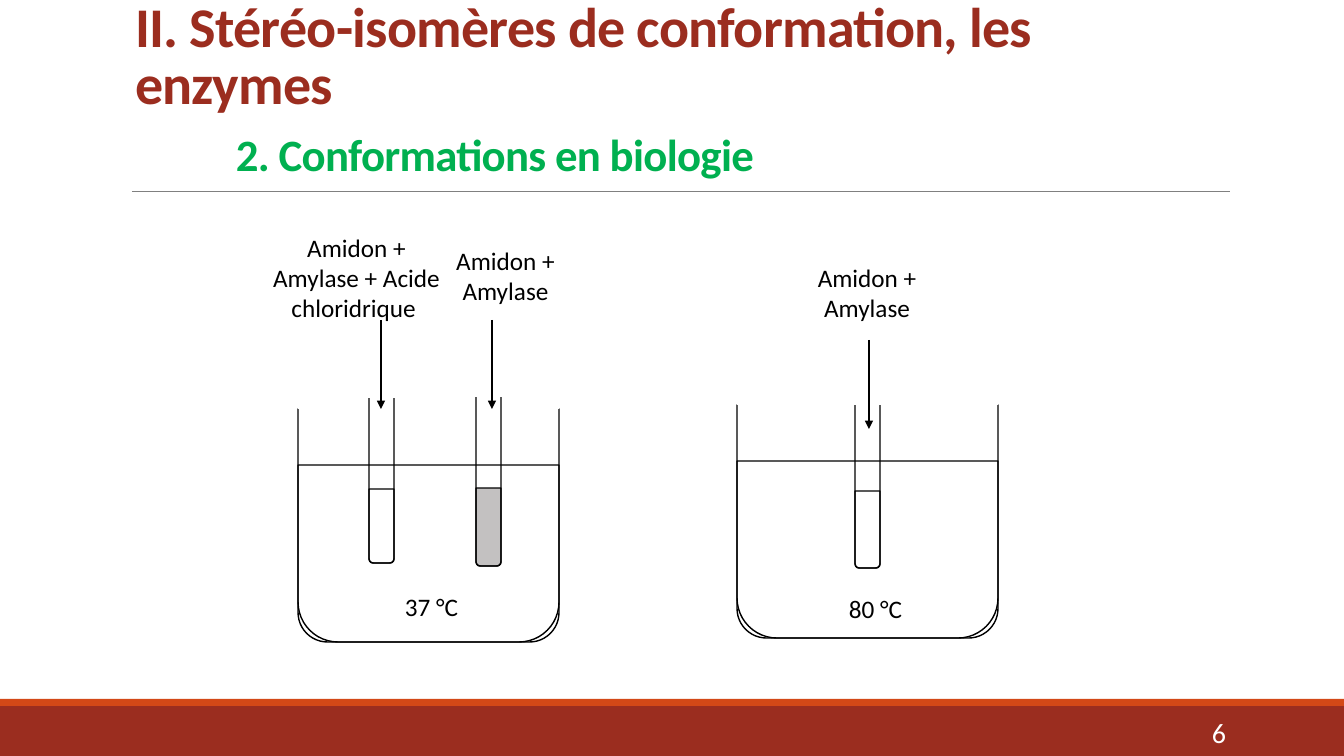
"""Build the slide on conformations in biology: enzyme tubes in two water baths."""
from dataclasses import dataclass

from lxml import etree
from pptx import Presentation
from pptx.dml.color import RGBColor
from pptx.enum.shapes import MSO_CONNECTOR, MSO_SHAPE
from pptx.enum.text import MSO_ANCHOR, MSO_AUTO_SIZE, PP_ALIGN
from pptx.oxml.ns import qn
from pptx.util import Emu, Pt

RECTANGLE = MSO_SHAPE.RECTANGLE
ROUND_TOP = MSO_SHAPE.ROUND_2_SAME_RECTANGLE
STRAIGHT = MSO_CONNECTOR.STRAIGHT
TOP, MIDDLE, BOTTOM = MSO_ANCHOR.TOP, MSO_ANCHOR.MIDDLE, MSO_ANCHOR.BOTTOM
LEFT, CENTER, RIGHT = PP_ALIGN.LEFT, PP_ALIGN.CENTER, PP_ALIGN.RIGHT
NO_AUTOFIT = MSO_AUTO_SIZE.NONE

PX_PER_INCH = 100.8
FONT = "Calibri"
BLACK, WHITE, GREY = "000000", "FFFFFF", "808080"
BRICK, ORANGE, GREEN = "9B2D1F", "D34817", "00B050"
PRECIPITATE = "C3C1C1"
TITLE_ONLY = 5


@dataclass(frozen=True)
class Vessel:
    """An open vessel: outline, liquid level and the margin of its rim mask."""

    left: int
    top: int
    width: int
    height: int
    liquid_top: int
    rim_rise: int
    rim_margin: int = 0
    liquid: str | None = None


@dataclass(frozen=True)
class Label:
    """A block of text and its frame."""

    text: str
    left: int
    top: int
    width: int
    height: int
    align: PP_ALIGN = CENTER
    size: int = 18
    colour: str = BLACK
    anchor: MSO_ANCHOR = TOP


@dataclass(frozen=True)
class Arrow:
    """The start of a downward arrow."""

    x: int
    top: int


BATH_37 = Vessel(298, 402, 261, 240, 465, 7)
BATH_80 = Vessel(737, 398, 261, 240, 461, 7)
TUBES = [
    Vessel(476, 388, 25, 178, 488, 5, 13, PRECIPITATE),
    Vessel(855, 388, 25, 180, 491, 6, 13),
    Vessel(369, 389, 25, 174, 489, 5, 13),
]
VESSELS = [BATH_37, *TUBES, BATH_80]
RIM_HEIGHT = 13
ARROWS = [Arrow(381, 320), Arrow(492, 320), Arrow(869, 340)]
ARROW_LENGTH = 89
LABELS = [
    Label("Amidon + Amylase + Acide chloridrique ", 254, 227, 205, 102),
    Label("Amidon + Amylase", 403, 240, 205, 72),
    Label("37 °C", 395, 586, 83, 40, LEFT),
    Label("80 °C", 839, 588, 84, 40, LEFT),
    Label("Amidon + Amylase", 799, 257, 136, 72),
    Label("6", 1092, 712, 144, 40, RIGHT, 20, WHITE, MIDDLE),
]


def px(length: int) -> Emu:
    """Turn pixels into EMU."""
    return Emu(round(length * 914400 / PX_PER_INCH))


def rgb(colour: str) -> RGBColor:
    """Turn a hex string into a colour."""
    return RGBColor.from_string(colour)


def add_span(para, text: str, *, size: int, colour: str, bold: bool = False,
             spacing: int = 0) -> None:
    """Add formatted text, with letter spacing in hundredths of a point."""
    span = para.add_run()
    span.text = text
    span.font.name = FONT
    span.font.size = Pt(size)
    span.font.bold = bold
    span.font.color.rgb = rgb(colour)
    if spacing:
        span.font._element.set("spc", str(spacing))


def add_box(shapes, kind: MSO_SHAPE, left: int, top: int, width: int, height: int,
            *, fill: str | None = None, line: str | None = None, turn: int = 0) -> None:
    """Add a preset shape with optional fill and outline."""
    box = shapes.add_shape(kind, px(left), px(top), px(width), px(height))
    box.shadow.inherit = False
    box.rotation = turn
    if fill:
        box.fill.solid()
        box.fill.fore_color.rgb = rgb(fill)
    else:
        box.fill.background()
    if line:
        box.line.color.rgb = rgb(line)
        box.line.width = Pt(1)
    else:
        box.line.fill.background()


def add_line(page, start: tuple[int, int], end: tuple[int, int], *, colour: str,
             width: float, arrow: bool = False) -> None:
    """Add a straight line, with an arrowhead at its end if asked."""
    line = page.shapes.add_connector(STRAIGHT, *map(px, start), *map(px, end))
    line.line.color.rgb = rgb(colour)
    line.line.width = Pt(width)
    if arrow:
        etree.SubElement(line.line._get_or_add_ln(), qn("a:tailEnd"), type="triangle")
    etree.SubElement(line._element.spPr, qn("a:effectLst"))


def add_vessel(page, vessel: Vessel) -> None:
    """Group a vessel's liquid, its outline and the mask that opens its rim."""
    shapes = page.shapes.add_group_shape().shapes
    bottom = vessel.top + vessel.height
    add_box(shapes, ROUND_TOP, vessel.left, vessel.liquid_top, vessel.width,
            bottom - vessel.liquid_top, fill=vessel.liquid, line=BLACK, turn=180)
    add_box(shapes, ROUND_TOP, vessel.left, vessel.top, vessel.width, vessel.height,
            line=BLACK, turn=180)
    add_box(shapes, RECTANGLE, vessel.left - vessel.rim_margin,
            vessel.top - vessel.rim_rise, vessel.width + 2 * vessel.rim_margin,
            RIM_HEIGHT, fill=WHITE, line=WHITE)


def add_label(page, label: Label) -> None:
    """Add a wrapped text box."""
    box = page.shapes.add_textbox(px(label.left), px(label.top),
                                  px(label.width), px(label.height))
    frame = box.text_frame
    frame.word_wrap = True
    frame.vertical_anchor = label.anchor
    para = frame.paragraphs[0]
    para.alignment = label.align
    add_span(para, label.text, size=label.size, colour=label.colour)


def fill_title(page) -> None:
    """Place the title and its indented subtitle in the title placeholder."""
    title = page.shapes.title
    title.left, title.top, title.width, title.height = map(px, (125, 30, 1109, 160))
    frame = title.text_frame
    frame.auto_size = NO_AUTOFIT
    frame.word_wrap = True
    frame.vertical_anchor = BOTTOM
    para = frame.paragraphs[0]
    para.alignment = LEFT
    para.line_spacing = 0.85
    tabs = etree.SubElement(para._p.get_or_add_pPr(), qn("a:tabLst"))
    etree.SubElement(tabs, qn("a:tab"), pos="914400", algn="l")
    add_span(para, "II. Stéréo-isomères de conformation, les enzymes",
             size=40, colour=BRICK, bold=True, spacing=-50)
    para.add_line_break()
    add_span(para, "\t", size=48, colour=BRICK, spacing=-50)
    add_span(para, "2. Conformations en biologie",
             size=32, colour=GREEN, bold=True, spacing=-50)


def main() -> None:
    """Build and save the deck."""
    deck = Presentation()
    deck.slide_width, deck.slide_height = px(1344), px(756)
    page = deck.slides.add_slide(deck.slide_layouts[TITLE_ONLY])
    add_box(page.shapes, RECTANGLE, 0, 706, 1344, 50, fill=BRICK)
    add_box(page.shapes, RECTANGLE, 0, 699, 1344, 7, fill=ORANGE)
    add_line(page, (132, 191), (1230, 191), colour=GREY, width=0.5)
    for vessel in VESSELS:
        add_vessel(page, vessel)
    for arrow in ARROWS:
        add_line(page, (arrow.x, arrow.top), (arrow.x, arrow.top + ARROW_LENGTH),
                 colour=BLACK, width=1, arrow=True)
    for label in LABELS:
        add_label(page, label)
    fill_title(page)
    deck.save("out.pptx")


if __name__ == "__main__":
    main()
